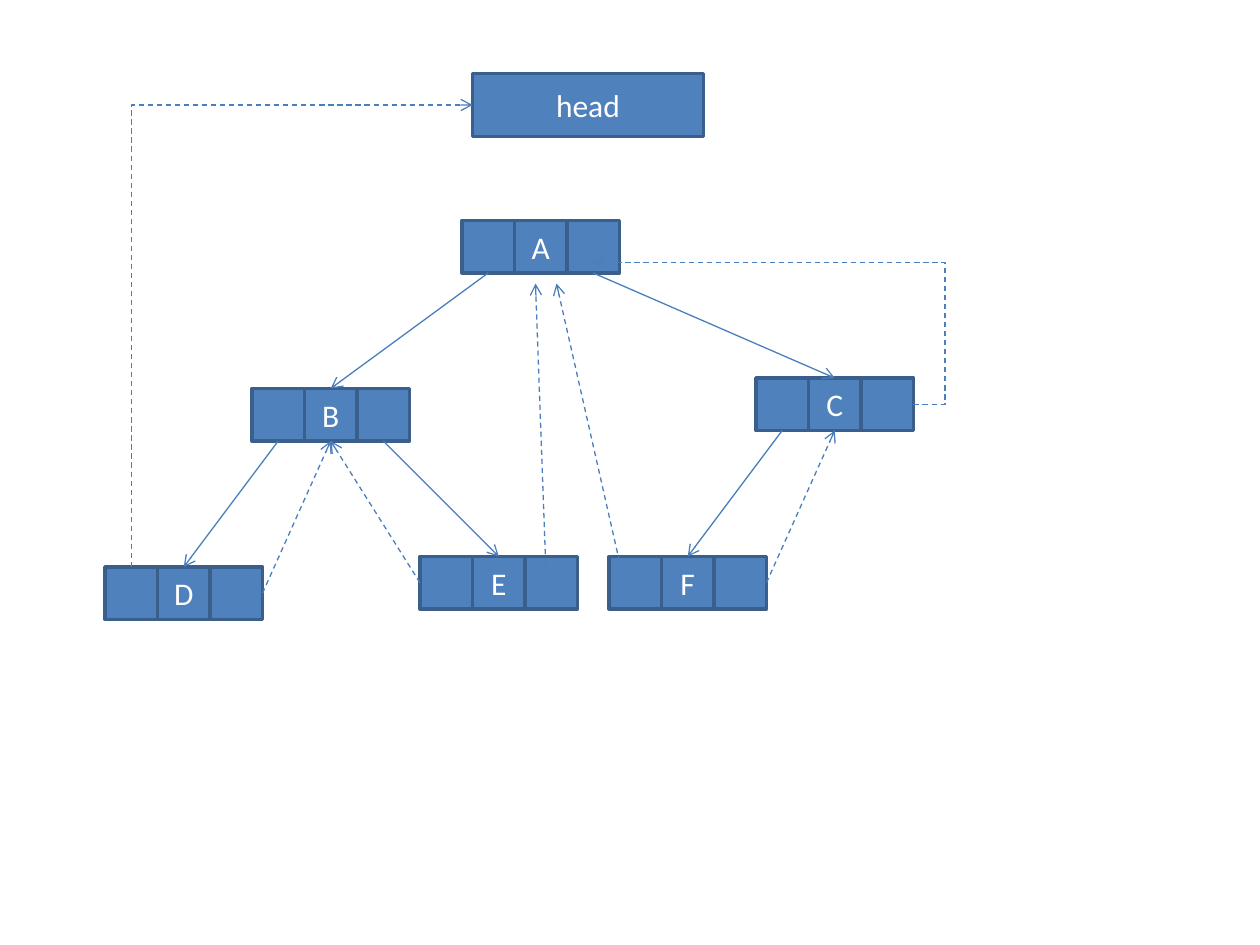
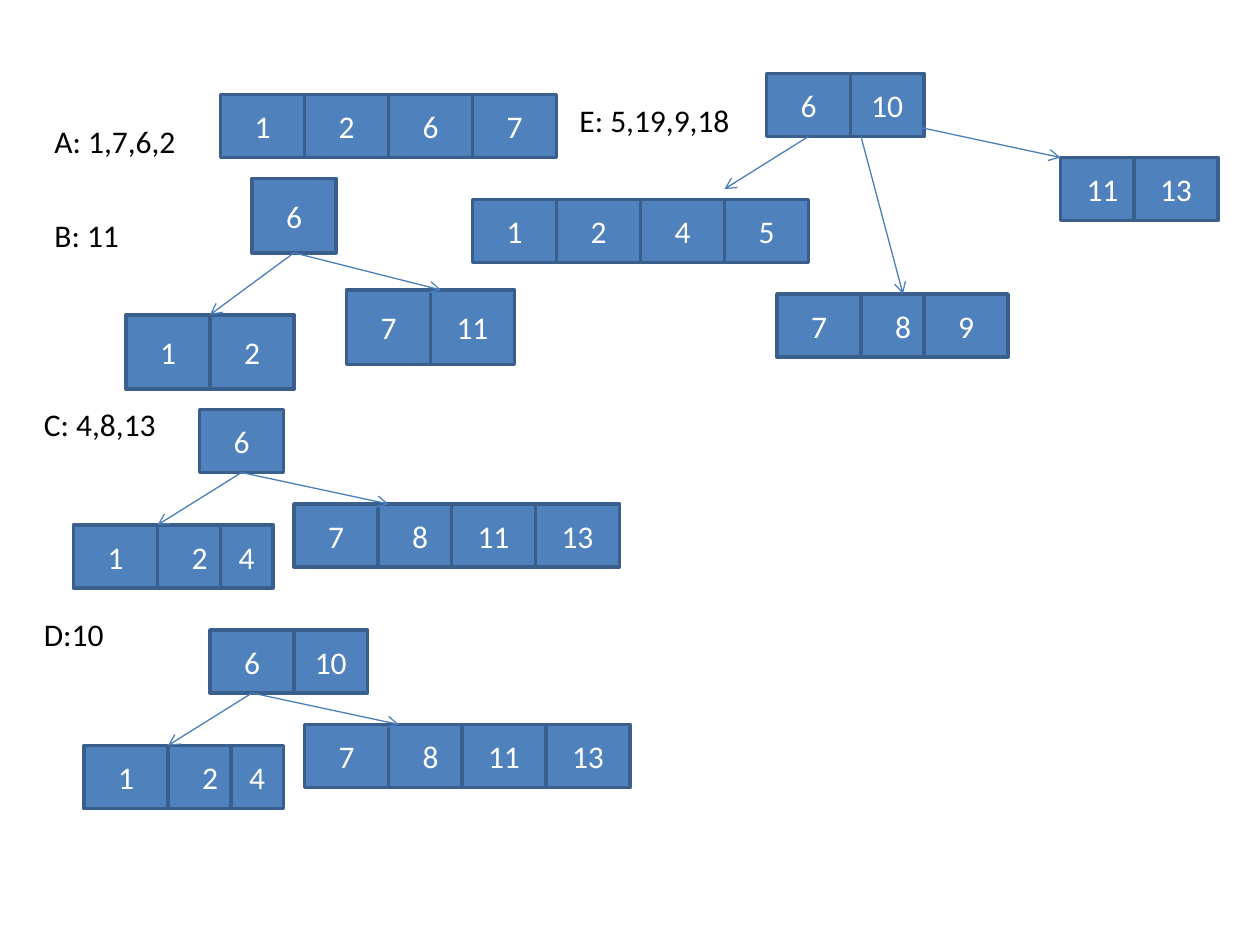
import pptx
import pptx.util
import pptx.dml.color
import pptx.enum.dml
import pptx.enum.shapes
import pptx.enum.text
import pptx.oxml
import pptx.oxml.ns

Pt = pptx.util.Pt
qn = pptx.oxml.ns.qn
CONNECTOR = pptx.enum.shapes.MSO_CONNECTOR

BOX_FILL = pptx.dml.color.RGBColor(0x4F, 0x81, 0xBD)
BOX_LINE = pptx.dml.color.RGBColor(0x3A, 0x5F, 0x8C)
ARROW = pptx.dml.color.RGBColor(0x4B, 0x7E, 0xBC)
WHITE = pptx.dml.color.RGBColor(0xFF, 0xFF, 0xFF)
BLACK = pptx.dml.color.RGBColor(0, 0, 0)
FONT = "Calibri"
TEXT_SIZE = 18

TOP, LEFT, BOTTOM, RIGHT = range(4)
LINK = 30  # side of one square cell of a threaded-tree node
KEY_W, KEY_H = 48, 36


def write(sp, text, color):
    p = sp.text_frame.paragraphs[0]
    p.text = text
    for r in p.runs:
        r.font.name = FONT
        r.font.size = Pt(TEXT_SIZE)
        r.font.color.rgb = color
    return p


def box(shapes, x, y, w, h, text=""):
    sp = shapes.add_shape(pptx.enum.shapes.MSO_SHAPE.RECTANGLE,
                          Pt(x), Pt(y), Pt(w), Pt(h))
    sp.shadow.inherit = False
    sp.fill.solid()
    sp.fill.fore_color.rgb = BOX_FILL
    sp.line.color.rgb = BOX_LINE
    sp.line.width = Pt(2)
    if text:
        sp.text_frame.vertical_anchor = pptx.enum.text.MSO_ANCHOR.MIDDLE
        p = write(sp, text, WHITE)
        p.alignment = pptx.enum.text.PP_ALIGN.CENTER
    return sp


def label(s, x, y, text):
    sp = s.shapes.add_textbox(Pt(x), Pt(y), Pt(132), Pt(29))
    sp.text_frame.word_wrap = True
    write(sp, text, BLACK)


def evenly(labels, w=KEY_W):
    """Cells (text, offset, width) that touch each other."""
    return [(text, i * w, w) for i, text in enumerate(labels)]


def row(s, x, y, cells, h=KEY_H):
    """Group of boxes in a line; returns the boxes."""
    group = s.shapes.add_group_shape()
    return [box(group.shapes, x + dx, y, w, h, text) for text, dx, w in cells]


def arrow(s, start, end, dashed=False, kind=CONNECTOR.STRAIGHT):
    """Each end is a point (x, y) or a pair (shape, side)."""
    joined = [not isinstance(e[0], (int, float)) for e in (start, end)]
    x1, y1 = (0, 0) if joined[0] else start
    x2, y2 = (0, 0) if joined[1] else end
    c = s.shapes.add_connector(kind, Pt(x1), Pt(y1), Pt(x2), Pt(y2))
    if joined[0]:
        c.begin_connect(*start)
    if joined[1]:
        c.end_connect(*end)
    c.line.color.rgb = ARROW
    c.line.width = Pt(0.75)
    if dashed:
        c.line.dash_style = pptx.enum.dml.MSO_LINE.DASH
    ln = c.line._ln
    ln.append(ln.makeelement(qn("a:tailEnd"), {"type": "arrow"}))
    sp_pr = c._element.spPr
    sp_pr.append(sp_pr.makeelement(qn("a:effectLst"), {}))
    return c


def up_then_right(c):
    """Give an elbow a single corner, above its start."""
    mid_x, mid_y = c.left + c.width // 2, c.top + c.height // 2
    w, h = c.height, c.width  # the frame is turned a quarter
    c.left, c.top, c.width, c.height = mid_x - w // 2, mid_y - h // 2, w, h
    sp_pr = c._element.spPr
    xfrm = sp_pr.find(qn("a:xfrm"))
    for key, value in (("rot", "5400000"), ("flipH", "1"), ("flipV", "1")):
        xfrm.set(key, value)
    sp_pr.find(qn("a:prstGeom")).set("prst", "bentConnector2")


def bend_at(c, share):
    """Place the middle leg of an elbow at a share of its width."""
    guides = c._element.spPr.find(qn("a:prstGeom")).get_or_add_avLst()
    guides.append(guides.makeelement(
        qn("a:gd"), {"name": "adj1", "fmla": f"val {round(share * 100000)}"}))


def key_tree(s, x, y, root, left, right, scale=1):
    """Root row with a lower left row and a slightly higher right row."""
    h = KEY_H * scale
    left_y, right_y = y + 66 * scale, y + 54 * scale
    top = row(s, x, y, root, h)[0]
    row(s, x - 72, left_y, left, h)
    row(s, x + 54, right_y, right, h)
    arrow(s, (top, BOTTOM), (x - 24, left_y))
    arrow(s, (top, BOTTOM), (x + 108, right_y))


def threaded_tree_slide(prs):
    s = prs.slides.add_slide(prs.slide_layouts[6])
    head = box(s.shapes, 270, 42, 132, 36, "head")
    places = {"A": (264, 126), "D": (60, 324), "C": (432, 216),
              "B": (144, 222), "F": (348, 318), "E": (240, 318)}
    nodes = {name: row(s, x, y, evenly(["", name, ""], LINK), LINK)
             for name, (x, y) in places.items()}

    for parent, cell, child in (("A", 0, "B"), ("B", 0, "D"), ("B", 2, "E"),
                                ("A", 2, "C"), ("C", 0, "F")):
        arrow(s, (nodes[parent][cell], BOTTOM), (nodes[child][1], TOP))

    c = arrow(s, (nodes["D"][0], TOP), (head, LEFT), True, CONNECTOR.ELBOW)
    up_then_right(c)
    for node, cell, side, target in (("D", 2, RIGHT, "B"), ("E", 0, LEFT, "B"),
                                     ("F", 2, RIGHT, "C")):
        arrow(s, (nodes[node][cell], side), (nodes[target][1], BOTTOM), True)
    arrow(s, (312, 327), (306, 162), True)
    arrow(s, (354, 321), (318, 162), True)
    c = arrow(s, (nodes["C"][2], RIGHT), (338.4, 150), True, CONNECTOR.ELBOW)
    bend_at(c, -0.098)


def key_insertion_slide(prs):
    s = prs.slides.add_slide(prs.slide_layouts[6])
    for x, y, text in ((24, 66, "A: 1,7,6,2"), (24, 120, "B: 11"),
                       (18, 228, "C: 4,8,13"), (18, 348, "D:10"),
                       (324, 54, "E: 5,19,9,18")):
        label(s, x, y, text)

    six_ten = [("6", 0, KEY_W), ("10", 48, 42)]
    low_keys = [("1", 0, KEY_W), ("2", 48, KEY_W), ("4", 84, 30)]
    high_keys = [("7", 0, KEY_W), ("8", 48, KEY_W),
                 ("11", 90, KEY_W), ("13", 138, KEY_W)]

    row(s, 126, 54, evenly("1267"))
    key_tree(s, 144, 102, evenly("6"), evenly("12"), evenly(["7", "11"]), 1.18)
    key_tree(s, 114, 234, evenly("6"), low_keys, high_keys)
    key_tree(s, 120, 360, six_ten, low_keys, high_keys)

    root = row(s, 438, 42, six_ten)
    row(s, 270, 114, evenly("1245"))
    middle = row(s, 444, 168, [("7", 0, KEY_W), ("8", 48, KEY_W),
                               ("9", 84, KEY_W)])
    row(s, 606, 90, [("11", 0, KEY_W), ("13", 42, KEY_W)])
    arrow(s, (root[0], BOTTOM), (414, 108))
    arrow(s, (492, 78), (middle[1], TOP))
    arrow(s, (522, 72), (606, 90))


def main():
    prs = pptx.Presentation()
    prs.slide_width, prs.slide_height = Pt(720), Pt(540)
    threaded_tree_slide(prs)
    key_insertion_slide(prs)
    prs.save("out.pptx")


if __name__ == "__main__":
    main()
